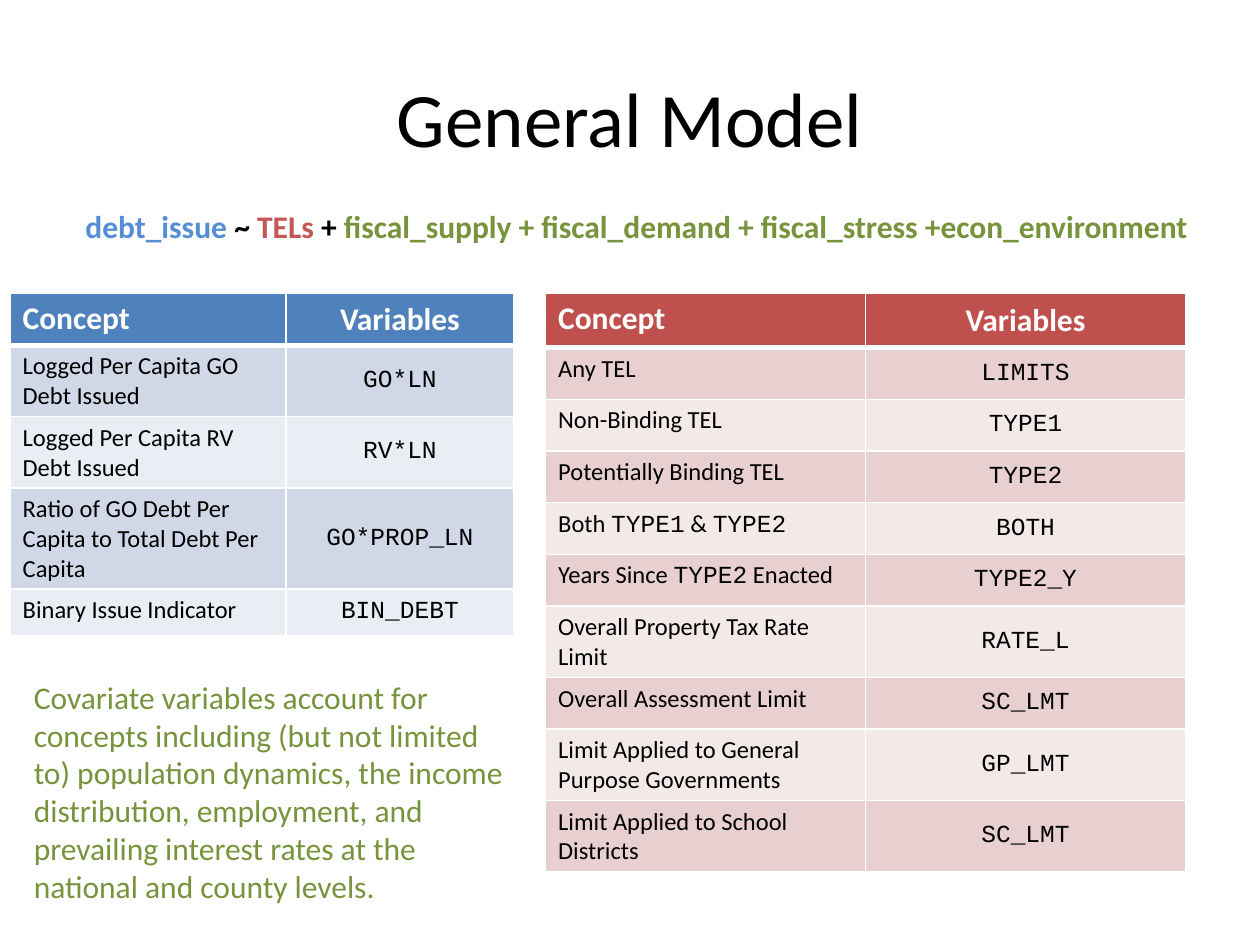
from lxml.etree import SubElement
from pptx import Presentation
from pptx.dml.color import RGBColor
from pptx.enum.text import MSO_ANCHOR, PP_ALIGN
from pptx.oxml.ns import qn
from pptx.util import Inches, Pt

COLORS = {
    "black": "000000", "white": "FFFFFF",
    "outcome": "558ED5", "limits": "C35855", "covariates": "77933C",
    "blue": "4F81BD", "blue_dark_band": "D0D8E8", "blue_light_band": "E9EDF4",
    "red": "C0504D", "red_dark_band": "E8D0D0", "red_light_band": "F4E9E9",
}
SANS, MONO = "Calibri", "Courier New"


def add_text(paragraph, text, size, color, font=SANS, bold=False):
    run = paragraph.add_run()
    run.text = text
    run.font.size = Pt(size)
    run.font.name = font
    run.font.bold = bold
    run.font.color.rgb = RGBColor.from_string(COLORS[color])


def add_borders(cell, bottom_width):
    properties = cell._tc.get_or_add_tcPr()
    for side, width in (("L", 1), ("R", 1), ("T", 1), ("B", bottom_width)):
        line = SubElement(properties, qn(f"a:ln{side}"), w=str(Pt(width)))
        fill = SubElement(line, qn("a:solidFill"))
        SubElement(fill, qn("a:srgbClr"), val=COLORS["white"])


prs = Presentation()
prs.slide_width, prs.slide_height = Inches(10), Inches(7.5)
col, row = prs.slide_width // 100, prs.slide_height // 75
slide = prs.slides.add_slide(prs.slide_layouts[5])

title = slide.shapes.title
title.left, title.top, title.width, title.height = 5 * col, 3 * row, 90 * col, int(12.5 * row)
title.text_frame.vertical_anchor = MSO_ANCHOR.MIDDLE
heading = title.text_frame.paragraphs[0]
heading.alignment = PP_ALIGN.CENTER
add_text(heading, "General Model", 44, "black")

formula = [
    ("debt_issue", "outcome"),
    (" ~ ", "black"),
    ("TELs", "limits"),
    (" + ", "black"),
    ("fiscal_supply + fiscal_demand + fiscal_stress +econ_environment", "covariates"),
]
covariate_note = [(
    "Covariate variables account for concepts including (but not limited to) "
    "population dynamics, the income distribution, employment, and prevailing "
    "interest rates at the national and county levels.", "covariates")]

for pieces, left, top, width, height, bold in (
    (formula, 5.8, 15.9, 90, 4, True),
    (covariate_note, 1.7, 53.3, 40, 19.2, False),
):
    frame = slide.shapes.add_textbox(
        int(left * col), int(top * row), int(width * col), int(height * row)).text_frame
    frame.word_wrap = True
    for text, color in pieces:
        add_text(frame.paragraphs[0], text, 18, color, bold=bold)

debt_measures = [
    (["Logged Per Capita GO Debt Issued"], "GO*LN"),
    (["Logged Per Capita RV Debt Issued"], "RV*LN"),
    (["Ratio of GO Debt Per Capita to Total Debt Per Capita"], "GO*PROP_LN"),
    (["Binary Issue Indicator"], "BIN_DEBT"),
]
limit_measures = [
    (["Any TEL"], "LIMITS"),
    (["Non-Binding TEL"], "TYPE1"),
    (["Potentially Binding TEL"], "TYPE2"),
    (["Both ", "TYPE1", " & ", "TYPE2"], "BOTH"),
    (["Years Since ", "TYPE2", " Enacted"], "TYPE2_Y"),
    (["Overall Property Tax Rate Limit"], "RATE_L"),
    (["Overall Assessment Limit"], "SC_LMT"),
    (["Limit Applied to General Purpose Governments"], "GP_LMT"),
    (["Limit Applied to School Districts"], "SC_LMT"),
]

for measures, hue, left, widths, heights in (
    (debt_measures, "blue", 0.8, (21.9, 18.1), [4.1, 4.1, 4.1, 3.7, 3.7]),
    (limit_measures, "red", 43.3, (25.4, 25.4), [4.3] + [4.1] * 9),
):
    table = slide.shapes.add_table(
        len(heights), 2, int(left * col), int(23.3 * row),
        int(sum(widths) * col), int(sum(heights) * row)).table
    for column, width in zip(table.columns, widths):
        column.width = int(width * col)
    for index, (concept, variable) in enumerate([(["Concept"], "Variables")] + measures):
        table.rows[index].height = int(heights[index] * row)
        header = index == 0
        band = hue if header else f"{hue}_{'dark' if index % 2 else 'light'}_band"
        size, color = (18, "white") if header else (14, "black")
        concept_cell, variable_cell = table.rows[index].cells
        for cell in (concept_cell, variable_cell):
            add_borders(cell, 3 if header else 1)
            cell.fill.solid()
            cell.fill.fore_color.rgb = RGBColor.from_string(COLORS[band])
        for position, text in enumerate(concept):
            add_text(concept_cell.text_frame.paragraphs[0], text, size, color,
                     MONO if position % 2 else SANS, header)
        variable_cell.vertical_anchor = MSO_ANCHOR.MIDDLE
        variable_line = variable_cell.text_frame.paragraphs[0]
        variable_line.alignment = PP_ALIGN.CENTER
        add_text(variable_line, variable, size, color, SANS if header else MONO, header)

prs.save("out.pptx")
